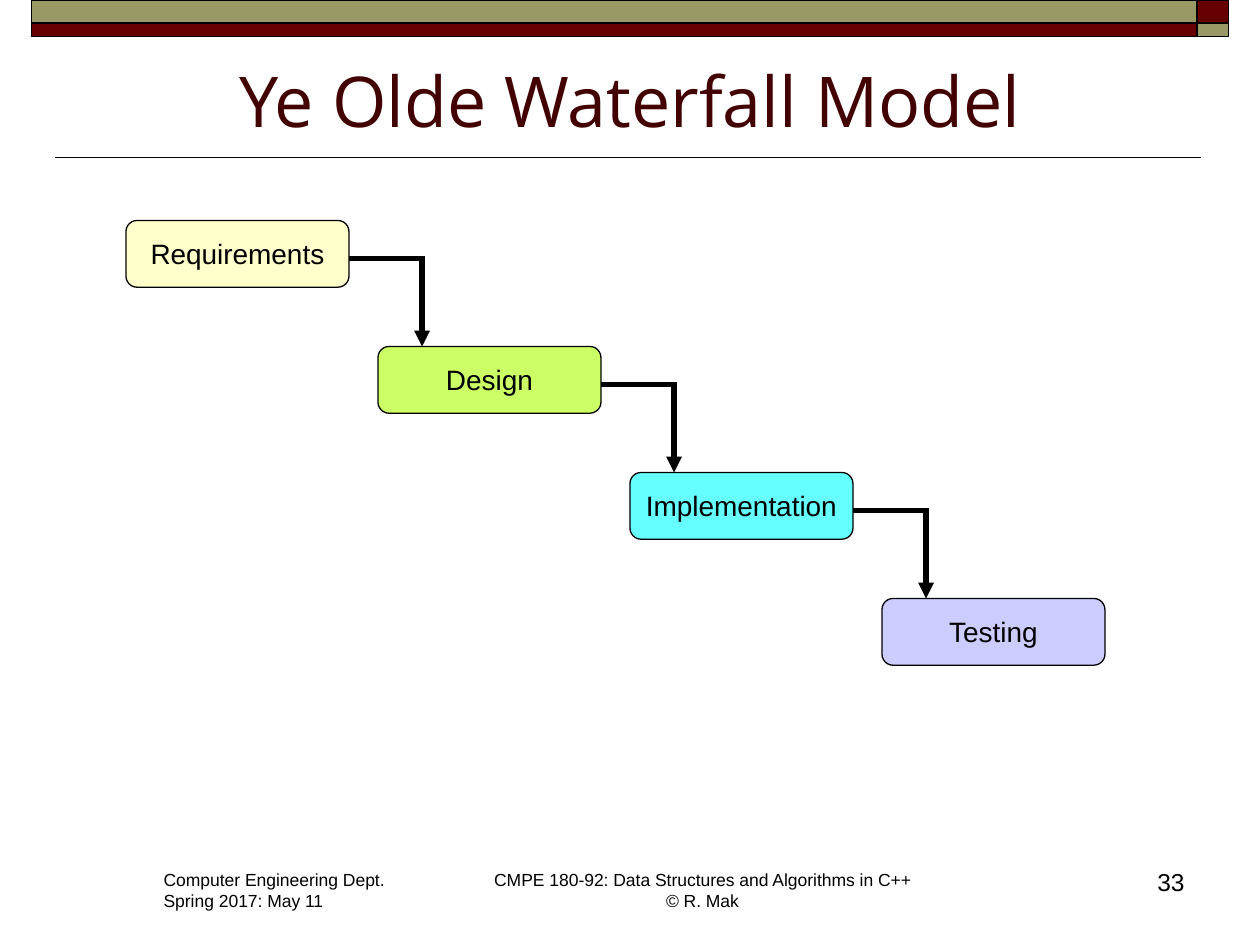
from pptx import Presentation
from pptx.dml.color import RGBColor
from pptx.enum.shapes import MSO_CONNECTOR as Conn, MSO_SHAPE as Shape
from pptx.enum.text import MSO_ANCHOR as Anchor, PP_ALIGN as Align
from pptx.oxml.ns import qn
from pptx.util import Inches, Pt
from lxml.etree import SubElement

BLACK, MAROON, OLIVE = "000000", "660000", "999966"
STEPS = [("Requirements", "FFFFCC"), ("Design", "CCFF66"),
         ("Implementation", "66FFFF"), ("Testing", "CCCCFF")]


def color(code):
    return RGBColor.from_string(code)


def style(frame, size, align, font="Arial", code=BLACK):
    for para in frame.paragraphs:
        para.alignment = align
        para.font.size = Pt(size)
        para.font.name = font
        para.font.color.rgb = color(code)


def add_box(slide, kind, box, fill, width):
    shape = slide.shapes.add_shape(kind, *map(Inches, box))
    shape.shadow.inherit = False
    shape.fill.solid()
    shape.fill.fore_color.rgb = color(fill)
    shape.line.color.rgb = color(BLACK)
    shape.line.width = Pt(width)
    return shape


def add_line(slide, start, end, width, arrow=False):
    line = slide.shapes.add_connector(Conn.STRAIGHT, *map(Inches, start + end))
    line.line.color.rgb = color(BLACK)
    line.line.width = Pt(width)
    if arrow:
        SubElement(line.line._get_or_add_ln(), qn("a:tailEnd"), type="triangle")
    SubElement(line._element.spPr, qn("a:effectLst"))


def add_text(slide, box, text, size, align, wrap=False):
    area = slide.shapes.add_textbox(*map(Inches, box))
    area.text_frame.word_wrap = wrap
    area.text_frame.text = text
    style(area.text_frame, size, align)


def add_banner(slide, left, top, width, height):
    """Two stripes whose colours swap in the right-hand corner."""
    corner, upper = 0.25, 0.18
    main = width - corner
    rows = [(top, upper, OLIVE, MAROON),
            (top + upper, height - upper, MAROON, OLIVE)]
    for y, high, long, short in rows:
        add_box(slide, Shape.RECTANGLE, (left, y, main, high), long, 1)
        add_box(slide, Shape.RECTANGLE, (left + main, y, corner, high), short, 1)


def add_title(slide, left, top, width, height):
    title = slide.shapes.title
    title.left, title.top = Inches(left), Inches(top)
    title.width, title.height = Inches(width), Inches(height)
    frame = title.text_frame
    frame.text = "Ye Olde Waterfall Model"
    frame.vertical_anchor = Anchor.BOTTOM
    style(frame, 40, Align.CENTER, "Open Sans", "420000")
    add_line(slide, (9.53, 1.25), (0.44, 1.25), 1)


def add_step(slide, left, top, width, height, name, fill):
    step = add_box(slide, Shape.ROUNDED_RECTANGLE,
                   (left, top, width, height), fill, 0.75)
    frame = step.text_frame
    frame.text = name
    frame.word_wrap = False
    frame.vertical_anchor = Anchor.MIDDLE
    style(frame, 16, Align.CENTER)


def add_fall(slide, left, top):
    """Steps run down to the right, each joined to the next by a bent arrow."""
    wide, high, across, down = 1.77, 0.53, 2, 1
    for i, (name, fill) in enumerate(STEPS):
        x, y = left + i * across, top + i * down
        add_step(slide, x, y, wide, high, name, fill)
        if i < len(STEPS) - 1:
            bend, level = x + 2.35, y + 0.3
            add_line(slide, (x + wide, level), (bend + 0.02, level), 3)
            add_line(slide, (bend, level), (bend, y + down), 3, arrow=True)


def add_footer(slide, top):
    add_text(slide, (1.2, top, 1.98, 0.44),
             "Computer Engineering Dept.\nSpring 2017: May 11", 10, Align.LEFT)
    add_text(slide, (3.8, top, 3.55, 0.44),
             "CMPE 180-92: Data Structures and Algorithms in C++\v© R. Mak",
             10, Align.CENTER)
    add_text(slide, (7.42, top - 0.02, 2.08, 0.5), "33", 14, Align.RIGHT, True)


def main():
    deck = Presentation()
    deck.slide_width, deck.slide_height = Inches(10), Inches(7.5)
    slide = deck.slides.add_slide(deck.slide_layouts[5])
    add_banner(slide, 0.25, 0, 9.5, 0.29)
    add_title(slide, 0.5, 0.45, 9, 0.72)
    add_fall(slide, 1, 1.75)
    add_footer(slide, 6.85)
    deck.save("out.pptx")


if __name__ == "__main__":
    main()
